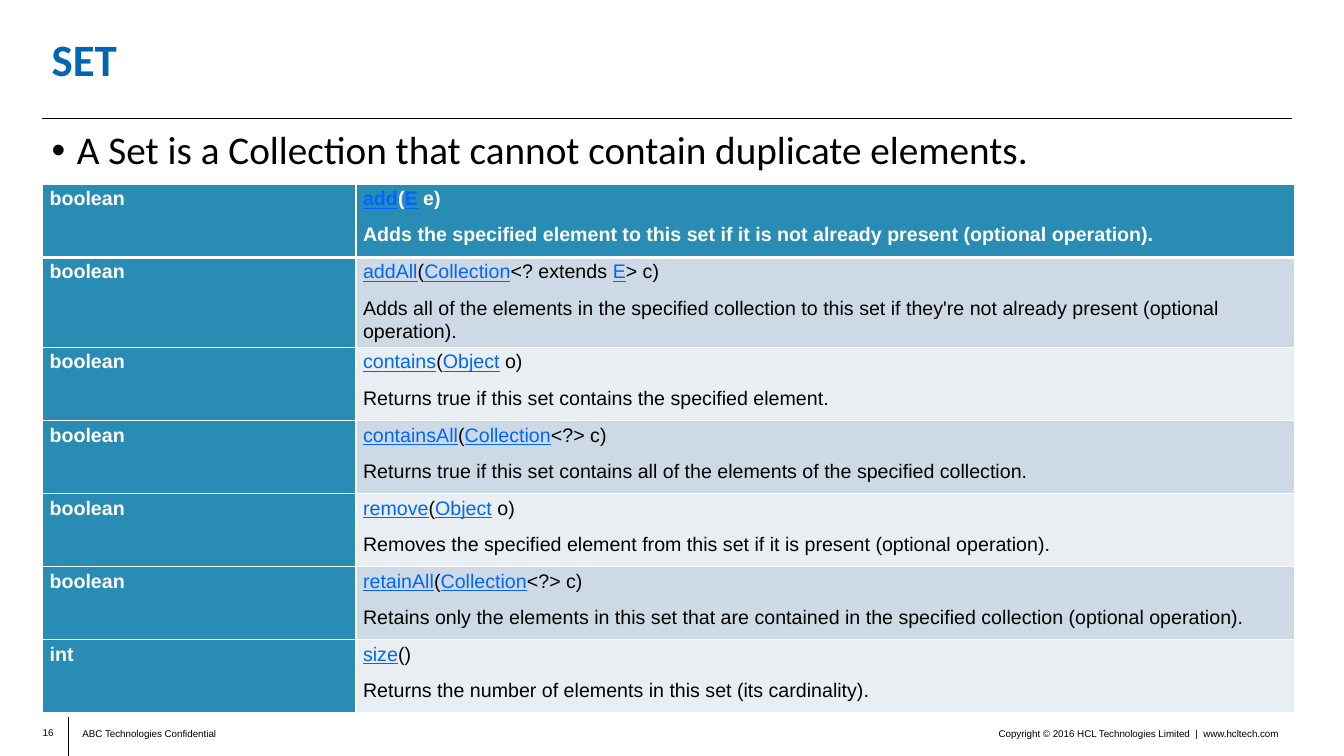
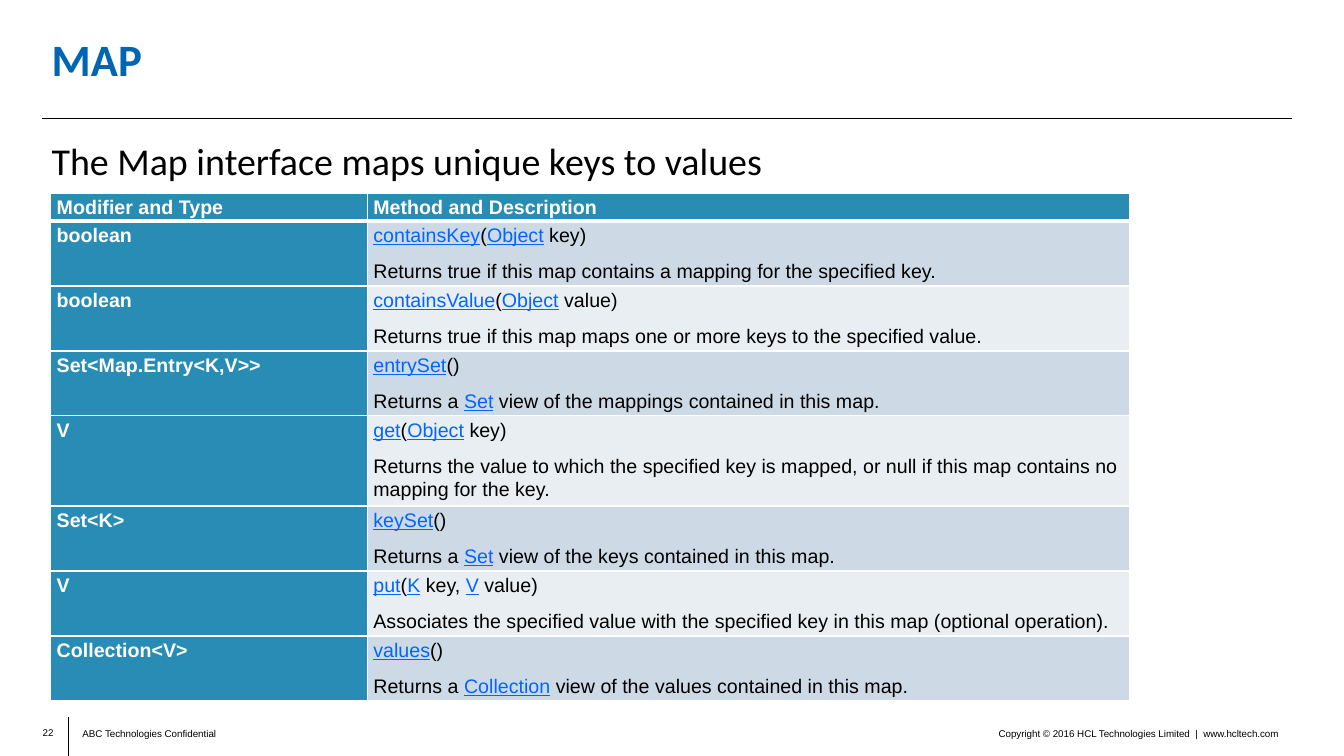
from dataclasses import dataclass

from lxml.etree import SubElement
from pptx import Presentation
from pptx.dml.color import RGBColor
from pptx.enum.shapes import MSO_CONNECTOR
from pptx.enum.text import MSO_ANCHOR, MSO_AUTO_SIZE, PP_ALIGN
from pptx.oxml import parse_xml
from pptx.oxml.ns import nsdecls, qn
from pptx.util import Cm, Pt


@dataclass(frozen=True)
class Theme:
    title: str = "0066B3"
    text: str = "000000"
    light: str = "FFFFFF"
    link: str = "0066FF"
    header: str = "288CB4"
    bands: tuple = ("CDDAE5", "E8EEF2")
    heading_font: str = "Calibri"
    body_font: str = "Arial"
    title_size: float = 32
    table_size: float = 14
    footer_size: float = 7


THEME = Theme()
LEFT, RULE_RIGHT = 1.05, 32.56
TITLE_ONLY = 5

# In table text, every second part between bars is styled as a link.
SET_ROWS = [
    ("boolean", "|add|(|E| e)",
     "Adds the specified element to this set if it is not already present (optional operation)."),
    ("boolean", "|addAll|(|Collection|<? extends |E|> c)",
     "Adds all of the elements in the specified collection to this set if they're not already "
     "present (optional operation)."),
    ("boolean", "|contains|(|Object| o)",
     "Returns true if this set contains the specified element."),
    ("boolean", "|containsAll|(|Collection|<?> c)",
     "Returns true if this set contains all of the elements of the specified collection."),
    ("boolean", "|remove|(|Object| o)",
     "Removes the specified element from this set if it is present (optional operation)."),
    ("boolean", "|retainAll|(|Collection|<?> c)",
     "Retains only the elements in this set that are contained in the specified collection "
     "(optional operation)."),
    ("int", "|size|()",
     "Returns the number of elements in this set (its cardinality)."),
]
MAP_ROWS = [
    ("Modifier and Type", "Method and Description"),
    ("boolean", "|containsKey|(|Object| key)",
     "Returns true if this map contains a mapping for the specified key."),
    ("boolean", "|containsValue|(|Object| value)",
     "Returns true if this map maps one or more keys to the specified value."),
    ("Set<Map.Entry<K,V>>", "|entrySet|()",
     "Returns a |Set| view of the mappings contained in this map."),
    ("V", "|get|(|Object| key)",
     "Returns the value to which the specified key is mapped, or null if this map contains no "
     "mapping for the key."),
    ("Set<K>", "|keySet|()",
     "Returns a |Set| view of the keys contained in this map."),
    ("V", "|put|(|K| key, |V| value)",
     "Associates the specified value with the specified key in this map (optional operation)."),
    ("Collection<V>", "|values|()",
     "Returns a |Collection| view of the values contained in this map."),
]


def add_run(paragraph, text, size, color, font=THEME.body_font, bold=False, underline=False):
    run = paragraph.add_run()
    run.text = text
    run.font.name = font
    run.font.size = Pt(size)
    run.font.bold = bold
    run.font.underline = underline
    run.font.color.rgb = RGBColor.from_string(color)


def add_line(slide, x1, y1, x2, y2):
    line = slide.shapes.add_connector(MSO_CONNECTOR.STRAIGHT, Cm(x1), Cm(y1), Cm(x2), Cm(y2))
    line.line.color.rgb = RGBColor.from_string(THEME.text)
    line.line.width = Pt(0.5)
    SubElement(line.element.spPr, qn("a:effectLst"))


def add_text_box(slide, left, top, width, height):
    text_frame = slide.shapes.add_textbox(Cm(left), Cm(top), Cm(width), Cm(height)).text_frame
    text_frame.word_wrap = True
    return text_frame


def add_footer(slide, number):
    number_frame = add_text_box(slide, LEFT, 18.31, 0.3, 0.28)
    number_frame.word_wrap = False
    number_frame.vertical_anchor = MSO_ANCHOR.MIDDLE
    number_frame.margin_left = number_frame.margin_right = 0
    number_frame.margin_top = number_frame.margin_bottom = 0
    notice_frame = add_text_box(slide, 1.83, 18.21, 8.08, 0.48)
    copyright_frame = add_text_box(slide, 19.74, 18.21, 12.73, 0.48)
    for text_frame, text, alignment in (
        (number_frame, str(number), PP_ALIGN.RIGHT),
        (notice_frame, "ABC Technologies Confidential", PP_ALIGN.LEFT),
        (copyright_frame, "Copyright © 2016 HCL Technologies Limited  |  www.hcltech.com",
         PP_ALIGN.RIGHT),
    ):
        paragraph = text_frame.paragraphs[0]
        paragraph.alignment = alignment
        add_run(paragraph, text, THEME.footer_size, THEME.text)
    add_line(slide, 1.73, 18.08, 1.73, 19.05)


def add_titled_slide(presentation, title, number):
    slide = presentation.slides.add_slide(presentation.slide_layouts[TITLE_ONLY])
    shape = slide.shapes.title
    shape.left, shape.top, shape.width, shape.height = Cm(LEFT), Cm(0.71), Cm(29.11), Cm(1.7)
    shape.text_frame.auto_size = MSO_AUTO_SIZE.NONE
    shape.text_frame.vertical_anchor = MSO_ANCHOR.MIDDLE
    paragraph = shape.text_frame.paragraphs[0]
    paragraph.alignment = PP_ALIGN.LEFT
    paragraph.line_spacing = 0.9
    add_run(paragraph, title, THEME.title_size, THEME.title, THEME.heading_font, bold=True)
    add_line(slide, LEFT, 2.97, RULE_RIGHT, 2.97)
    add_footer(slide, number)
    return slide


def add_statement(slide, text, top, size, bullet=False):
    paragraph = add_text_box(slide, LEFT, top, 31.52, 1.4).paragraphs[0]
    paragraph.line_spacing = 0.9
    if bullet:
        properties = paragraph._p.get_or_add_pPr()
        properties.set("marL", str(Cm(0.64)))
        properties.set("indent", str(-Cm(0.64)))
        SubElement(properties, qn("a:buFont"), typeface="Arial")
        SubElement(properties, qn("a:buChar"), char="•")
    add_run(paragraph, text, size, THEME.text, THEME.heading_font)


def set_borders(cell, top, bottom):
    """Draw white borders; top and bottom are widths in points."""
    properties = cell._tc.get_or_add_tcPr()
    for index, (side, width) in enumerate((("L", 1), ("R", 1), ("T", top), ("B", bottom))):
        properties.insert(index, parse_xml(
            f'<a:ln{side} {nsdecls("a")} w="{Pt(width)}"><a:solidFill>'
            f'<a:srgbClr val="{THEME.light}"/></a:solidFill></a:ln{side}>'))


def fill_cell(cell, lines, fill, color, bold, margin_left):
    cell.fill.solid()
    cell.fill.fore_color.rgb = RGBColor.from_string(fill)
    cell.margin_left, cell.margin_right = Cm(margin_left), Cm(0.08)
    cell.margin_top, cell.margin_bottom = Cm(0.05), 0
    text_frame = cell.text_frame
    for index, line in enumerate(lines):
        paragraph = text_frame.add_paragraph() if index else text_frame.paragraphs[0]
        paragraph.line_spacing = 1.07
        paragraph.space_after = Pt(9 if index < len(lines) - 1 else 0)
        for position, part in enumerate(line.split("|")):
            is_link = position % 2 == 1
            if part:
                add_run(paragraph, part, THEME.table_size, THEME.link if is_link else color,
                        bold=bold, underline=is_link)


def add_method_table(slide, rows, left, top, widths, heights, margin_left):
    frame = slide.shapes.add_table(len(rows), len(widths), Cm(left), Cm(top),
                                   Cm(sum(widths)), Cm(sum(heights)))
    table = frame.table
    table.horz_banding = False
    for column, width in zip(table.columns, widths):
        column.width = Cm(width)
    for index, ((kind, *lines), height) in enumerate(zip(rows, heights)):
        table.rows[index].height = Cm(height)
        for column, content in enumerate(([kind], lines)):
            cell = table.cell(index, column)
            strong = index == 0 or column == 0
            fill = THEME.header if strong else THEME.bands[(index - 1) % 2]
            color = THEME.light if strong else THEME.text
            fill_cell(cell, content, fill, color, strong, margin_left)
            set_borders(cell, top=3 if index == 1 else 1, bottom=3 if index == 0 else 1)


def main():
    presentation = Presentation()
    presentation.slide_width, presentation.slide_height = Cm(33.87), Cm(19.05)

    set_slide = add_titled_slide(presentation, "SET", 16)
    add_statement(set_slide, "A Set is a Collection that cannot contain duplicate elements.",
                  top=3.17, size=28, bullet=True)
    add_method_table(set_slide, SET_ROWS, 1.07, 4.65, (7.9, 23.65),
                     [1.84] * len(SET_ROWS), margin_left=0.18)

    map_slide = add_titled_slide(presentation, "MAP", 22)
    add_statement(map_slide, "The Map interface maps unique keys to values", top=3.48, size=27.1)
    add_method_table(map_slide, MAP_ROWS, 1.28, 4.88, (7.98, 19.2),
                     [0.69] + [1.52] * 3 + [2.06] + [1.52] * 3, margin_left=0.15)

    presentation.save("out.pptx")


if __name__ == "__main__":
    main()
